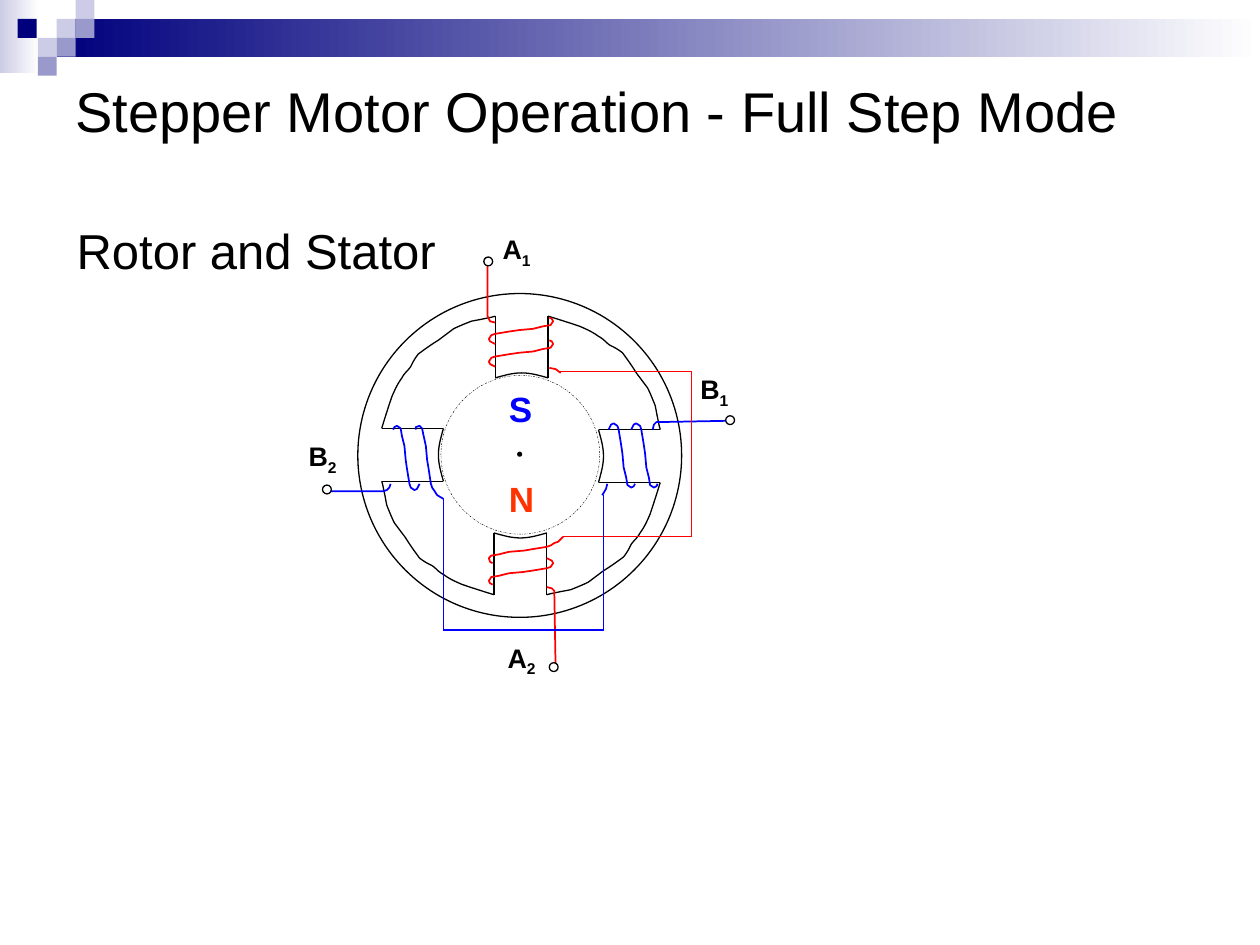
from dataclasses import dataclass
from itertools import pairwise

from lxml.etree import SubElement
from pptx import Presentation
from pptx.dml.color import RGBColor
from pptx.enum.dml import MSO_LINE
from pptx.enum.shapes import MSO_CONNECTOR, MSO_SHAPE
from pptx.enum.text import MSO_ANCHOR
from pptx.oxml.ns import qn
from pptx.util import Pt

PX = 9144


@dataclass(frozen=True)
class Theme:
    font: str = "Arial"
    black: str = "000000"
    white: str = "FFFFFF"
    navy: str = "00007D"
    lilac: str = "CCCCE6"
    violet: str = "9999CC"
    phase_a: str = "FF0000"
    phase_b: str = "0000FF"
    north: str = "FF3300"
    title: float = 32
    subtitle: float = 28
    pole: float = 20
    label: float = 15.3
    thin: float = 0.75
    coil: float = 1
    hairline: float = 0.25


THEME = Theme()

POLE_SIDES = [[(193, 151), (193, 200)], [(235, 151), (235, 200)]]
POLE_TIP = [(193, 200), (200, 198), (207, 196), (214, 196), (221, 196), (228, 198), (235, 200)]
STATOR_EDGE = [
    (235, 151), (245, 154), (254, 157), (260, 159), (267, 162), (271, 164), (275, 167),
    (279, 169), (281, 172), (284, 174), (288, 176), (290, 177), (294, 180),
    (297, 184), (302, 191), (305, 196), (308, 200), (311, 204), (314, 208),
    (316, 212), (318, 217), (320, 222), (321, 227), (323, 238), (324, 241),
]
WINDING = [
    (193, 173), (189, 171), (188, 169), (190, 166), (193, 165), (205, 163), (212, 162),
    (223, 161), (231, 159), (237, 158), (239, 155), (238, 153), (236, 152),
]
WINDING_PLACES = [
    (0, 0, 0, THEME.phase_a), (0, 0, 18, THEME.phase_a),
    (1, -1, 0, THEME.phase_b), (1, -19, 0, THEME.phase_b),
    (2, 0, -7, THEME.phase_a), (3, 8, 2, THEME.phase_b),
]
LEADS = {
    THEME.phase_a: [
        [(173, 109), (173, 151), (174, 153), (175, 155), (179, 156)],
        [(162 + 74, 192), (241, 193), (245, 196)],
        [(247, 326), (243, 330), (240, 331), (237, 333), (234, 334), (222, 336), (216, 337),
         (204, 338), (196, 340), (190, 341), (188, 343), (189, 346), (191, 347)],
        [(241, 432), (240, 372), (240, 369), (238, 367), (234, 366)],
    ],
    THEME.phase_b: [
        [(377, 234), (324, 235), (321, 235), (319, 237), (318, 241)],
        [(282, 284), (281, 288), (278, 293)],
        [(152, 296), (147, 293), (145, 290), (143, 287), (142, 284), (140, 271), (139, 265),
         (138, 254), (136, 245), (135, 240), (133, 238), (130, 239), (130, 241)],
        [(61, 290), (104, 290), (107, 289), (109, 287), (110, 284)],
    ],
}
LEADS[THEME.phase_a][0] = [(187, 109), (187, 151), (188, 153), (189, 155), (193, 156)]
LEADS[THEME.phase_a][1][0] = (236, 192)
WIRES = {
    THEME.phase_a: [(244, 195), (349, 195), (349, 326), (247, 326)],
    THEME.phase_b: [(279, 293), (279, 400), (152, 400), (152, 296)],
}
TERMINALS = [(184, 104), (376, 230), (236, 426), (56, 285)]
LABELS = [("A", "1", 189, 80), ("B", "1", 346, 191), ("A", "2", 193, 404), ("B", "2", 35, 244)]


def rgb(color):
    return RGBColor.from_string(color)


def quarter_turns(points, count):
    for _ in range(count):
        points = [(475 - y, 48 + x) for x, y in points]
    return points


def smooth_points(points, steps=8):
    curve = [points[0]]
    for index in range(0, len(points) - 1, 3):
        controls = points[index:index + 4]
        for step in range(1, steps + 1):
            t = step / steps
            weights = ((1 - t) ** 3, 3 * t * (1 - t) ** 2, 3 * t * t * (1 - t), t ** 3)
            curve.append(tuple(sum(w * p[axis] for w, p in zip(weights, controls)) for axis in (0, 1)))
    return curve


def add_preset(shapes, kind, box, fill=None, line=None, width=THEME.thin):
    shape = shapes.add_shape(kind, *(value * PX for value in box))
    shape.shadow.inherit = False
    if fill:
        shape.fill.solid()
        shape.fill.fore_color.rgb = rgb(fill)
    else:
        shape.fill.background()
    if line:
        shape.line.color.rgb = rgb(line)
        shape.line.width = Pt(width)
    else:
        shape.line.fill.background()
    return shape


def add_outline(shapes, points, origin, color, width):
    spots = [(round((origin[0] + x) * PX), round((origin[1] + y) * PX)) for x, y in points]
    builder = shapes.build_freeform(*spots[0], scale=1.0)
    builder.add_line_segments(spots[1:], close=False)
    outline = builder.convert_to_shape()
    outline.shadow.inherit = False
    outline.fill.background()
    outline.line.color.rgb = rgb(color)
    outline.line.width = Pt(width)


def add_lines(shapes, points, origin, color):
    spots = [((origin[0] + x) * PX, (origin[1] + y) * PX) for x, y in points]
    for start, end in pairwise(spots):
        line = shapes.add_connector(MSO_CONNECTOR.STRAIGHT, *start, *end)
        line.line.color.rgb = rgb(color)
        line.line.width = Pt(THEME.thin)
        SubElement(line._element.spPr, qn("a:effectLst"))


def add_text(shapes, box, text, size, color=THEME.black, bold=False, wrap=True, subscript=None):
    frame = shapes.add_textbox(*(value * PX for value in box)).text_frame
    frame.word_wrap = wrap
    para = frame.paragraphs[0]
    para.font.name = THEME.font
    para.font.size = Pt(size)
    para.font.bold = bold
    para.font.color.rgb = rgb(color)
    para.add_run().text = text
    if subscript:
        span = para.add_run()
        span.text = subscript
        span._r.get_or_add_rPr().set("baseline", "-25000")
    return frame


def draw_header(page, left, top, width):
    shapes = page.shapes
    cell = 15
    bands = [((left, top, 31, 58), THEME.lilac),
             ((left + 45, top + cell, width - 45, 2 * cell), THEME.navy)]
    for box, color in bands:
        band = add_preset(shapes, MSO_SHAPE.RECTANGLE, box)
        band.fill.gradient()
        band.fill.gradient_angle = 0
        for stop, tone in zip(band.fill.gradient_stops, (color, THEME.white)):
            stop.color.rgb = rgb(tone)
    cells = [(45, 1, THEME.lilac), (60, 0, THEME.lilac), (60, 1, THEME.violet),
             (30, 2, THEME.lilac), (14, 1, THEME.navy), (45, 2, THEME.violet),
             (30, 3, THEME.violet)]
    for x, row, color in cells:
        add_preset(shapes, MSO_SHAPE.RECTANGLE, (left + x, top + row * cell, cell, cell), color)


def draw_headings(page, left, top):
    title = add_text(page.shapes, (left, top, 900, 75),
                     "Stepper Motor Operation - Full Step Mode", THEME.title)
    title.vertical_anchor = MSO_ANCHOR.MIDDLE
    add_text(page.shapes, (left + 1, top + 120, 305, 57), "Rotor and Stator",
             THEME.subtitle, wrap=False)


def draw_stator(page, left, top):
    shapes = page.shapes.add_group_shape().shapes
    origin = (left, top)
    add_preset(shapes, MSO_SHAPE.OVAL, (left + 84, top + 133, 257, 257), THEME.white, THEME.black)
    for turn in range(4):
        for side in POLE_SIDES:
            add_lines(shapes, quarter_turns(side, turn), origin, THEME.black)
        for curve in (POLE_TIP, STATOR_EDGE):
            points = smooth_points(quarter_turns(curve, turn))
            add_outline(shapes, points, origin, THEME.black, THEME.thin)
    for turn, shift_x, shift_y, color in WINDING_PLACES:
        add_outline(shapes, quarter_turns(WINDING, turn), (left + shift_x, top + shift_y),
                    color, THEME.coil)
    for color, leads in LEADS.items():
        for lead in leads:
            add_outline(shapes, lead, origin, color, THEME.coil)
    for color, wire in WIRES.items():
        add_lines(shapes, wire, origin, color)
    for x, y in TERMINALS:
        add_preset(shapes, MSO_SHAPE.OVAL, (left + x, top + y, 7, 7), THEME.white, THEME.black)
    for letter, number, x, y in LABELS:
        add_text(shapes, (left + x, top + y, 58, 41), letter, THEME.label, bold=True,
                 subscript=number)


def draw_rotor(page, left, top):
    shapes = page.shapes
    add_preset(shapes, MSO_SHAPE.OVAL, (left + 61, top + 61, 3, 3), THEME.black, THEME.black)
    rim = add_preset(shapes, MSO_SHAPE.OVAL, (left, top, 126, 126), None, THEME.black, THEME.hairline)
    rim.line.dash_style = MSO_LINE.DASH_DOT
    for letter, y, width, color in (("N", 76, 40, THEME.north), ("S", 5, 38, THEME.phase_b)):
        add_text(shapes, (left + 44, top + y, width, 44), letter, THEME.pole, color, True, False)


def main():
    deck = Presentation()
    deck.slide_width, deck.slide_height = 1000 * PX, 750 * PX
    page = deck.slides.add_slide(deck.slide_layouts[6])
    draw_header(page, 0, 0, 1000)
    draw_stator(page, 200, 100)
    draw_rotor(page, 350, 298)
    draw_headings(page, 50, 50)
    deck.save("out.pptx")


if __name__ == "__main__":
    main()
